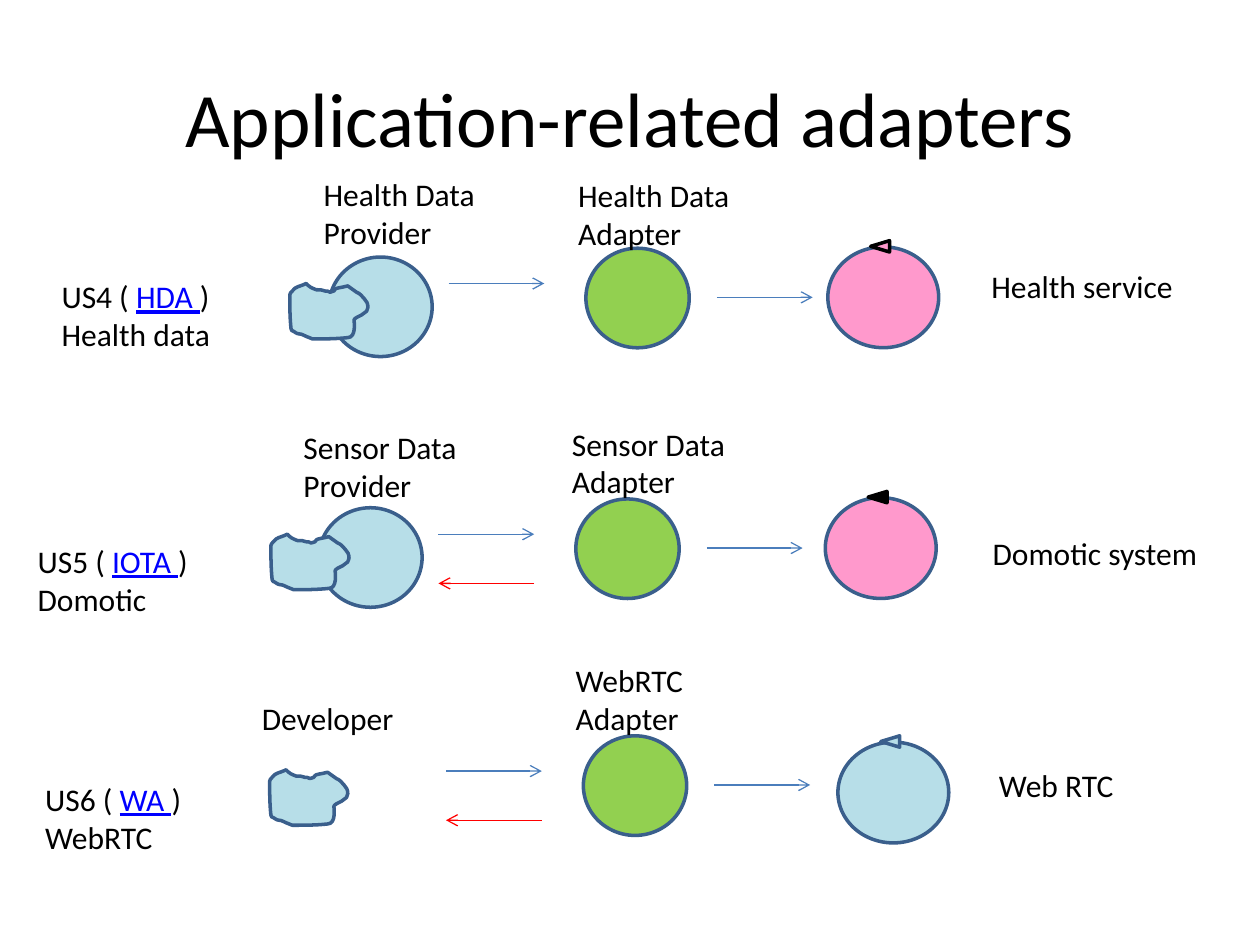
from lxml import etree
from pptx import Presentation
from pptx.dml.color import RGBColor
from pptx.enum.shapes import MSO_CONNECTOR, MSO_SHAPE
from pptx.enum.text import MSO_ANCHOR, MSO_AUTO_SIZE, PP_ALIGN
from pptx.oxml.ns import qn
from pptx.util import Inches, Pt

OVAL, TRIANGLE = MSO_SHAPE.OVAL, MSO_SHAPE.ISOSCELES_TRIANGLE
STRAIGHT = MSO_CONNECTOR.STRAIGHT
CENTER, MIDDLE = PP_ALIGN.CENTER, MSO_ANCHOR.MIDDLE
FIT_SHAPE = MSO_AUTO_SIZE.SHAPE_TO_FIT_TEXT

BLACK = RGBColor(0x00, 0x00, 0x00)
LINK_BLUE = RGBColor(0x00, 0x00, 0xFF)
RED = RGBColor(0xFF, 0x00, 0x00)
ARROW_BLUE = RGBColor(0x4B, 0x7E, 0xBC)
OUTLINE = RGBColor(0x3A, 0x5F, 0x8C)
LIGHT_BLUE = RGBColor(0xB7, 0xDE, 0xE8)
GREEN = RGBColor(0x92, 0xD0, 0x50)
PINK = RGBColor(0xFF, 0x99, 0xCC)

# Cloud outline in hundredths of an inch: one point is a line end,
# three points are two Bezier controls and a curve end.
CLOUD_START = (13, 0)
CLOUD_SEGMENTS = [
    [(7, 3), (5, 2), (2, 6)],
    [(1, 7), (0, 8), (0, 9)],
    [(0, 18), (0, 27), (1, 36)],
    [(1, 37), (2, 38), (3, 38)],
    [(9, 42), (5, 38), (13, 42)],
    [(18, 44)],
    [(27, 44), (37, 44), (46, 43)],
    [(53, 43), (51, 30), (51, 29)],
    [(51, 28), (52, 28), (53, 27)],
    [(54, 26), (56, 26), (57, 25)],
    [(58, 24), (60, 23), (61, 22)],
    [(62, 21), (62, 20), (62, 19)],
    [(62, 16), (61, 14), (59, 12)],
    [(57, 10), (56, 8), (53, 7)],
    [(46, 2)],
    [(43, 3), (40, 3), (37, 4)],
    [(36, 4), (36, 5), (35, 6)],
    [(34, 6), (33, 6), (32, 7)],
    [(31, 6), (29, 6), (28, 6)],
    [(26, 5), (24, 5), (21, 5)],
    [(13, 2), (15, 1), (13, 0)],
]

# Labels are (left, top, width, lines); the other places are (left, top).
ROWS = [
    {
        "story": (0.39, 2.15, 1.45, ("US4 ( ", "HDA ", "Health data")),
        "source": (2.47, 1.34, 1.47, ["Health Data", "Provider"]),
        "adapter": (4.49, 1.35, 1.47, ["Health Data", "Adapter"]),
        "service": (7.77, 2.07, 1.66, ["Health service"]),
        "adapter_at": (4.65, 1.97), "cloud_at": (2.3, 2.25),
        "service_at": (6.57, 1.96), "provider": True, "returns": False,
        "service_fill": PINK, "marker": (PINK, BLACK),
    },
    {
        "story": (0.2, 4.25, 1.41, ("US5 ( ", "IOTA ", "Domotic")),
        "source": (2.31, 3.35, 1.49, ["Sensor Data", "Provider"]),
        "adapter": (4.44, 3.32, 1.49, ["Sensor Data", "Adapter"]),
        "service": (7.78, 4.19, 1.84, ["Domotic system"]),
        "adapter_at": (4.57, 3.96), "cloud_at": (2.15, 4.24),
        "service_at": (6.55, 3.95), "provider": True, "returns": True,
        "service_fill": PINK, "marker": (BLACK, BLACK),
    },
    {
        "story": (0.26, 6.14, 1.35, ("US6 ( ", "WA ", "WebRTC")),
        "source": (1.98, 5.5, 1.26, ["Developer"]),
        "adapter": (4.47, 5.2, 1.06, ["WebRTC", "Adapter"]),
        "service": (7.83, 6.03, 1.12, ["Web RTC"]),
        "adapter_at": (4.63, 5.84), "cloud_at": (2.14, 6.11),
        "service_at": (6.65, 5.89), "provider": False, "returns": True,
        "service_fill": LIGHT_BLUE, "marker": (LIGHT_BLUE, OUTLINE),
    },
]


class SlideBuilder:
    font_name = "Calibri"
    text_size = 18

    def __init__(self, slide):
        self.slide = slide

    def style(self, shape, fill, line):
        shape.shadow.inherit = False
        shape.fill.solid()
        shape.fill.fore_color.rgb = fill
        shape.line.color.rgb = line
        shape.line.width = Pt(2)

    def shape(self, kind, left, top, width, height, fill, line=OUTLINE):
        shape = self.slide.shapes.add_shape(
            kind, Inches(left), Inches(top), Inches(width), Inches(height))
        self.style(shape, fill, line)
        return shape

    def cloud(self, left, top):
        """Add the cloud outline, turning its straight sides into curves."""
        builder = self.slide.shapes.build_freeform(*CLOUD_START, scale=Inches(0.01))
        builder.add_line_segments([segment[-1] for segment in CLOUD_SEGMENTS])
        shape = builder.convert_to_shape(Inches(left), Inches(top))
        sides = list(shape._element.iter(qn("a:lnTo")))
        for side, (*controls, _) in zip(sides, CLOUD_SEGMENTS):
            if controls:
                side.tag = qn("a:cubicBezTo")
            for index, (x, y) in enumerate(controls):
                side.insert(index, etree.Element(qn("a:pt"), x=str(x), y=str(y)))
        self.style(shape, LIGHT_BLUE, OUTLINE)

    def arrow(self, start_x, end_x, y, color=ARROW_BLUE):
        connector = self.slide.shapes.add_connector(
            STRAIGHT, Inches(start_x), Inches(y), Inches(end_x), Inches(y))
        connector.line.color.rgb = color
        connector.line.width = Pt(0.75)
        properties = connector._element.spPr
        etree.SubElement(properties.find(qn("a:ln")), qn("a:tailEnd"), type="arrow")
        etree.SubElement(properties, qn("a:effectLst"))

    def run(self, paragraph, text, color=BLACK, size=text_size, underline=False):
        run = paragraph.add_run()
        run.text = text
        run.font.color.rgb = color
        formats = {"name": self.font_name, "size": Pt(size), "underline": underline}
        for name, value in formats.items():
            setattr(run.font, name, value)

    def text_frame(self, left, top, width, height, **formats):
        box = self.slide.shapes.add_textbox(
            Inches(left), Inches(top), Inches(width), Inches(height))
        for name, value in formats.items():
            setattr(box.text_frame, name, value)
        return box.text_frame

    def title(self, text):
        frame = self.text_frame(0.5, 0.3, 9, 1.25, word_wrap=True, vertical_anchor=MIDDLE)
        frame.paragraphs[0].alignment = CENTER
        self.run(frame.paragraphs[0], text, size=44)

    def label(self, left, top, width, lines):
        height = 0.09 + 0.31 * len(lines)
        frame = self.text_frame(left, top, width, height, word_wrap=False, auto_size=FIT_SHAPE)
        for index, line in enumerate(lines):
            paragraph = frame.add_paragraph() if index else frame.paragraphs[0]
            self.run(paragraph, line)

    def story(self, left, top, width, texts):
        """Add a user story label whose code looks like a link."""
        number, code, topic = texts
        frame = self.text_frame(left, top, width, 0.71, word_wrap=False, auto_size=FIT_SHAPE)
        paragraph = frame.paragraphs[0]
        self.run(paragraph, number)
        self.run(paragraph, code, color=LINK_BLUE, underline=True)
        self.run(paragraph, ")")
        self.run(frame.add_paragraph(), topic)

    def row(self, row):
        x, y = row["adapter_at"]
        if row["provider"]:
            self.shape(OVAL, x - 2.04, y + 0.07, 0.82, 0.79, LIGHT_BLUE)
        self.cloud(*row["cloud_at"])
        self.shape(OVAL, x, y, 0.82, 0.79, GREEN)
        self.arrow(x - 1.09, x - 0.33, y + 0.28)
        self.arrow(x + 1.04, x + 1.8, y + 0.39)
        if row["returns"]:
            self.arrow(x - 0.33, x - 1.09, y + 0.67, RED)
        left, top = row["service_at"]
        self.shape(OVAL, left, top, 0.88, 0.8, row["service_fill"])
        marker = self.shape(TRIANGLE, left + 0.37, top - 0.08, 0.09, 0.15, *row["marker"])
        marker.rotation = 270
        self.story(*row["story"])
        for name in ("source", "adapter", "service"):
            self.label(*row[name])


def main():
    presentation = Presentation()
    presentation.slide_width, presentation.slide_height = Inches(10), Inches(7.5)
    builder = SlideBuilder(presentation.slides.add_slide(presentation.slide_layouts[6]))
    builder.title("Application-related adapters")
    for row in ROWS:
        builder.row(row)
    presentation.save("out.pptx")


if __name__ == "__main__":
    main()
